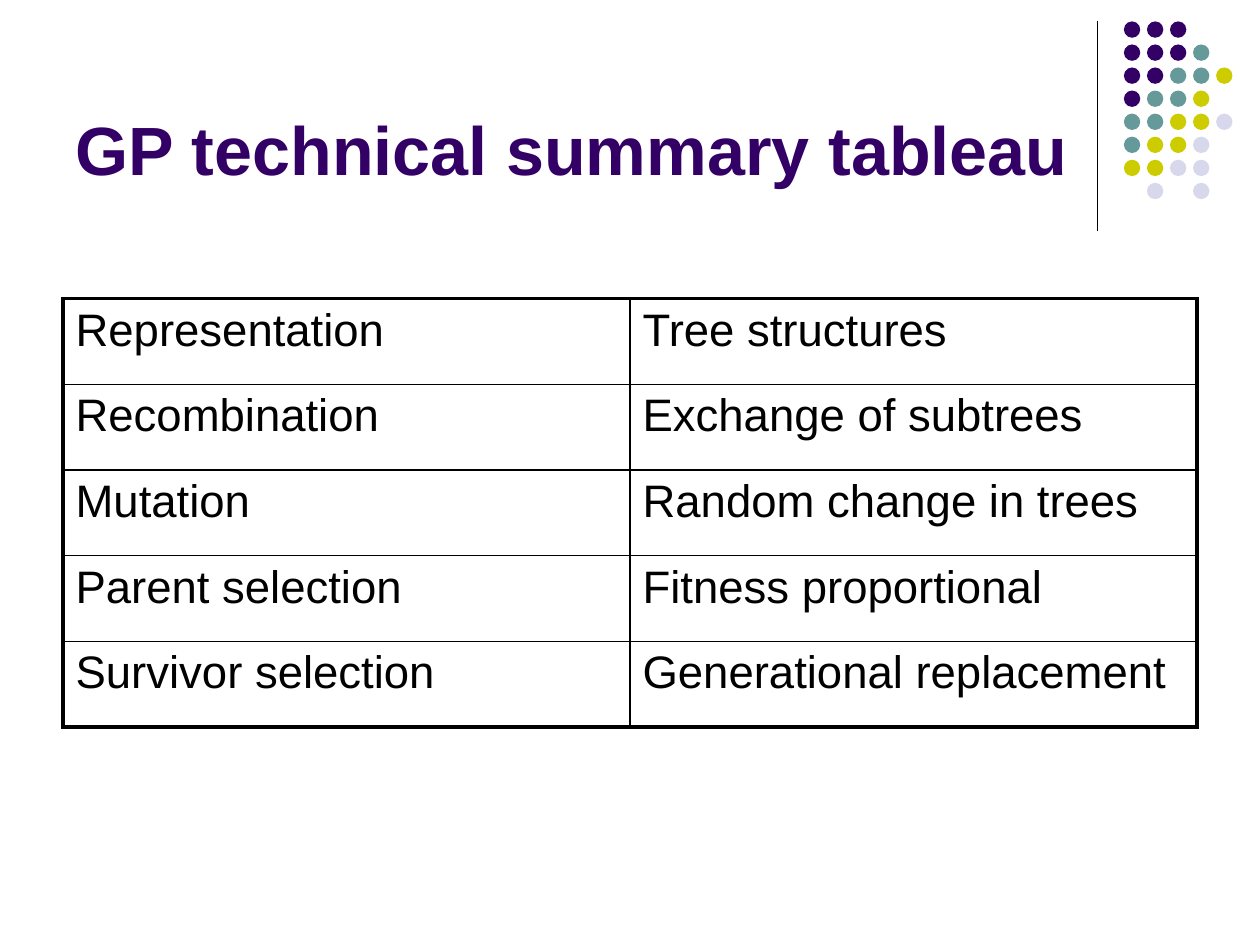
from lxml.etree import SubElement as Sub
from pptx import Presentation
from pptx.dml.color import RGBColor
from pptx.enum.shapes import MSO_CONNECTOR as Conn, MSO_SHAPE as Shape
from pptx.enum.text import MSO_ANCHOR as Anchor, MSO_AUTO_SIZE as Auto, PP_ALIGN as Align
from pptx.oxml.ns import qn
from pptx.util import Inches, Pt

INK = "000000"
TONES = {"P": "330066", "T": "669999", "Y": "CCCC00", "L": "D8D8EC"}
DOTS = ["PPP", "PPPT", "PPTTY", "PTTY", "TTYYL", "TYYL", "YYLL", " L L"]
ROWS = [
    ("Representation", "Tree structures"),
    ("Recombination", "Exchange of subtrees"),
    ("Mutation", "Random change in trees"),
    ("Parent selection", "Fitness proportional"),
    ("Survivor selection", "Generational replacement"),
]


def color(code):
    return RGBColor.from_string(code)


def put_text(frame, text, size, tone=INK, bold=False, anchor=Anchor.TOP):
    frame.word_wrap = True
    frame.vertical_anchor = anchor
    para = frame.paragraphs[0]
    para.alignment = Align.LEFT
    run = para.add_run()
    run.text = text
    font = run.font
    font.name, font.size, font.bold = "Arial", Pt(size), bold
    font.color.rgb = color(tone)


def add_title(slide, text):
    title = slide.shapes.title
    title.left, title.top = Inches(0.5), Inches(0.13)
    title.width, title.height = Inches(8.25), Inches(1.42)
    title.text_frame.auto_size = Auto.NONE
    put_text(title.text_frame, text, 39, TONES["P"], True, Anchor.BOTTOM)


def add_rule(slide):
    x = Inches(8.71)
    rule = slide.shapes.add_connector(Conn.STRAIGHT, x, Inches(0.17), x, Inches(1.83))
    rule.line.color.rgb = color(INK)
    rule.line.width = Pt(0.75)
    Sub(rule._element.spPr, qn("a:effectLst"))


def add_dots(slide, left=8.92, top=0.17, step=0.183, size=0.13):
    group = slide.shapes.add_group_shape()
    for row, line in enumerate(DOTS):
        for col, key in enumerate(line):
            if key == " ":
                continue
            dot = group.shapes.add_shape(
                Shape.OVAL, Inches(left + col * step), Inches(top + row * step),
                Inches(size), Inches(size))
            dot.shadow.inherit = False
            dot.fill.solid()
            dot.fill.fore_color.rgb = color(TONES[key])
            dot.line.fill.background()


def set_edge(cell, side, width):
    edge = Sub(cell._tc.get_or_add_tcPr(), qn("a:ln" + side), w=str(Pt(width)))
    fill = Sub(edge, qn("a:solidFill"))
    Sub(fill, qn("a:srgbClr"), val=INK)


def add_grid(slide):
    count, wide = len(ROWS), len(ROWS[0])
    grid = slide.shapes.add_table(
        count, wide, Inches(0.5), Inches(2.37), Inches(9), Inches(3.4)).table
    grid.first_row = grid.horz_banding = False
    for row, words in enumerate(ROWS):
        for col, text in enumerate(words):
            cell = grid.cell(row, col)
            put_text(cell.text_frame, text, 26)
            # Heavy lines run round the outside only
            outer = {"L": col == 0, "R": col == wide - 1,
                     "T": row == 0, "B": row == count - 1}
            for side, heavy in outer.items():
                set_edge(cell, side, 2.25 if heavy else 1)
            cell.fill.background()


def main():
    deck = Presentation()
    deck.slide_width, deck.slide_height = Inches(10), Inches(7.5)
    slide = deck.slides.add_slide(deck.slide_layouts[5])
    # Corner ornament
    add_rule(slide)
    add_dots(slide)
    # Content
    add_title(slide, "GP technical summary tableau")
    add_grid(slide)
    deck.save("out.pptx")


if __name__ == "__main__":
    main()
